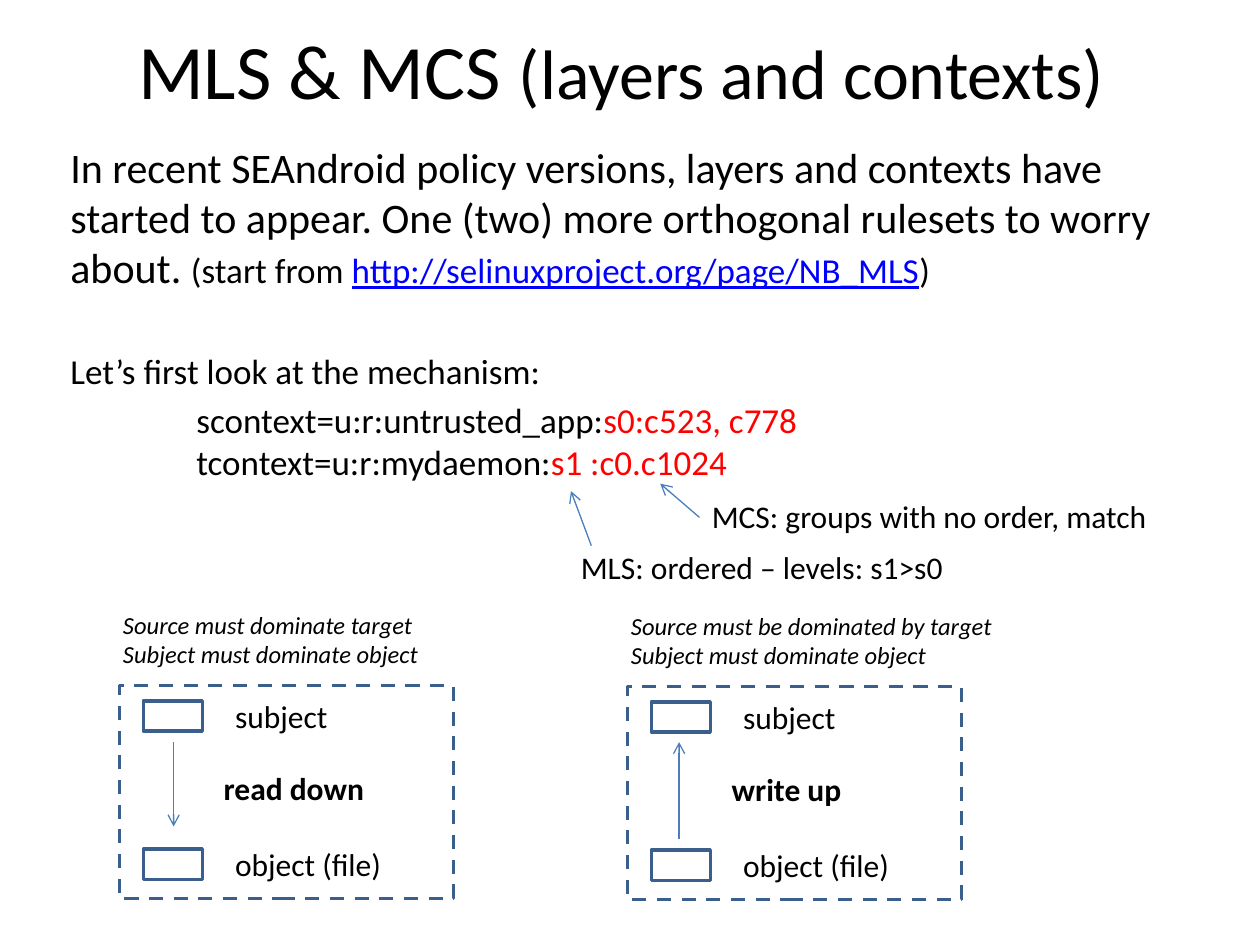
from lxml import etree
from pptx import Presentation
from pptx.dml.color import RGBColor
from pptx.enum.dml import MSO_LINE
from pptx.enum.shapes import MSO_CONNECTOR, MSO_SHAPE
from pptx.enum.text import MSO_ANCHOR, PP_ALIGN
from pptx.oxml.ns import qn
from pptx.util import Cm, Pt

RECT = MSO_SHAPE.RECTANGLE
STRAIGHT = MSO_CONNECTOR.STRAIGHT
DASH = MSO_LINE.DASH
TOP = MSO_ANCHOR.TOP
CENTER = PP_ALIGN.CENTER

FONT = "Calibri"
COLORS = {"text": "000000", "label": "FF0000", "link": "0000FF",
          "arrow": "4B7EBC", "box": "3A5F8C", "node": "FFFFFF"}


def rgb(name):
    return RGBColor.from_string(COLORS[name])


def style(font, size=None, color="text", bold=None, italic=None):
    font.name = FONT
    font.color.rgb = rgb(color)
    font.bold, font.italic = bold, italic
    if size:
        font.size = Pt(size)


def add_box(s, x, y, w, h, wrap=True):
    tf = s.shapes.add_textbox(Cm(x), Cm(y), Cm(w), Cm(h)).text_frame
    tf.word_wrap = wrap
    tf.vertical_anchor = TOP
    return tf


def add_label(s, x, y, w, h, lines, size=18, **kw):
    tf = add_box(s, x, y, w, h, wrap=False)
    for i, line in enumerate(lines):
        p = tf.paragraphs[0] if i == 0 else tf.add_paragraph()
        p.text = line
        style(p.font, size, **kw)


def add_run(p, text, size=None, color="text"):
    r = p.add_run()
    r.text = text
    style(r.font, size, color)
    return r


def add_arrow(s, x1, y1, x2, y2):
    c = s.shapes.add_connector(STRAIGHT, Cm(x1), Cm(y1), Cm(x2), Cm(y2))
    c.line.color.rgb = rgb("arrow")
    c.line.width = Pt(0.75)
    etree.SubElement(c.line._get_or_add_ln(), qn("a:tailEnd"), type="arrow")
    etree.SubElement(c._element.spPr, qn("a:effectLst"))


def add_rect(s, x, y, w, h, fill=None, dash=None):
    sp = s.shapes.add_shape(RECT, Cm(x), Cm(y), Cm(w), Cm(h))
    sp.shadow.inherit = False
    if fill:
        sp.fill.solid()
        sp.fill.fore_color.rgb = rgb(fill)
    else:
        sp.fill.background()
    sp.line.color.rgb = rgb("box")
    sp.line.width = Pt(2)
    if dash:
        sp.line.dash_style = dash


def add_title(s, x, y, w, h):
    p = add_box(s, x, y, w, h).paragraphs[0]
    p.alignment = CENTER
    add_run(p, "MLS & MCS ", 44)
    add_run(p, "(layers and contexts)", 40)


def add_body(s, x, y, w, h):
    tf = add_box(s, x, y, w, h)

    # Introduction with the address
    p = tf.paragraphs[0]
    add_run(p, "In recent SEAndroid policy versions, layers and contexts have "
               "started to appear. One (two) more orthogonal rulesets to worry", 24)
    p.add_line_break()
    add_run(p, "about. ", 24)
    add_run(p, "(start from ", 20)
    r = add_run(p, "http://selinuxproject.org/page/NB_MLS", 20, "link")
    r.font.underline = True
    add_run(p, ")", 20)

    p = tf.add_paragraph()
    p.text = "Let’s first look at the mechanism:"
    p.space_before = Pt(32.4)
    style(p.font, 20)

    # Indented context pair
    p = tf.add_paragraph()
    p.space_before = Pt(4)
    pPr = p._p.get_or_add_pPr()
    pPr.set("marL", str(Cm(2.54)))
    pPr.set("indent", "0")
    add_run(p, "scontext=u:r:untrusted_app:", 20)
    add_run(p, "s0:c523, c778", 20, "label")
    p.add_line_break()
    add_run(p, "tcontext=u:r:mydaemon:", 20)
    add_run(p, "s1 :c0.c1024", 20, "label")


def add_callouts(s, x, y):
    add_arrow(s, x + 0.46, y + 1.1, x + 0.05, y)
    add_label(s, x, y + 1.02, 7.9, 1.02, ["MLS: ordered – levels: s1>s0"])
    add_label(s, x + 2.64, y, 9.4, 1.02, ["MCS: groups with no order, match"])
    add_arrow(s, x + 2.64, y + 0.53, x + 1.85, y - 0.15)


def add_panel(s, x, y, rule, rule_w, action, arrow_x, arrow_from, arrow_to):
    # Subject above, object below
    for dy, name, w in ((0, "subject", 2.39), (2.99, "object (file)", 3.5)):
        add_rect(s, x + 0.48, y + 0.31 + dy, 1.19, 0.61, fill="node")
        add_label(s, x + 2.08, y + 0.1 + dy, w, 1.02, [name])
    # Allowed direction
    add_arrow(s, x + arrow_x, y + arrow_from, x + arrow_x, y + arrow_to)
    add_label(s, x + 1.85, y + 1.55, 3.35, 1.02, [action], bold=True)
    # Frame and rule
    add_rect(s, x, y, 6.73, 4.29, dash=DASH)
    add_label(s, x - 0.18, y - 1.65, rule_w, 1.45,
              [rule, "Subject must dominate object"], size=14, italic=True)


def main():
    prs = Presentation()
    prs.slide_width, prs.slide_height = Cm(25.4), Cm(19.05)
    s = prs.slides.add_slide(prs.slide_layouts[6])

    add_title(s, 1.09, 0.33, 22.86, 3.18)
    add_body(s, 1.17, 2.72, 23.5, 7.72)
    add_callouts(s, 11.46, 9.9)
    add_panel(s, 2.41, 13.82, "Source must dominate target", 6.53,
              "read down", 1.09, 1.14, 2.84)
    add_panel(s, 12.65, 13.84, "Source must be dominated by target", 7.85,
              "write up", 1.04, 3.07, 1.12)

    prs.save("out.pptx")


if __name__ == "__main__":
    main()
